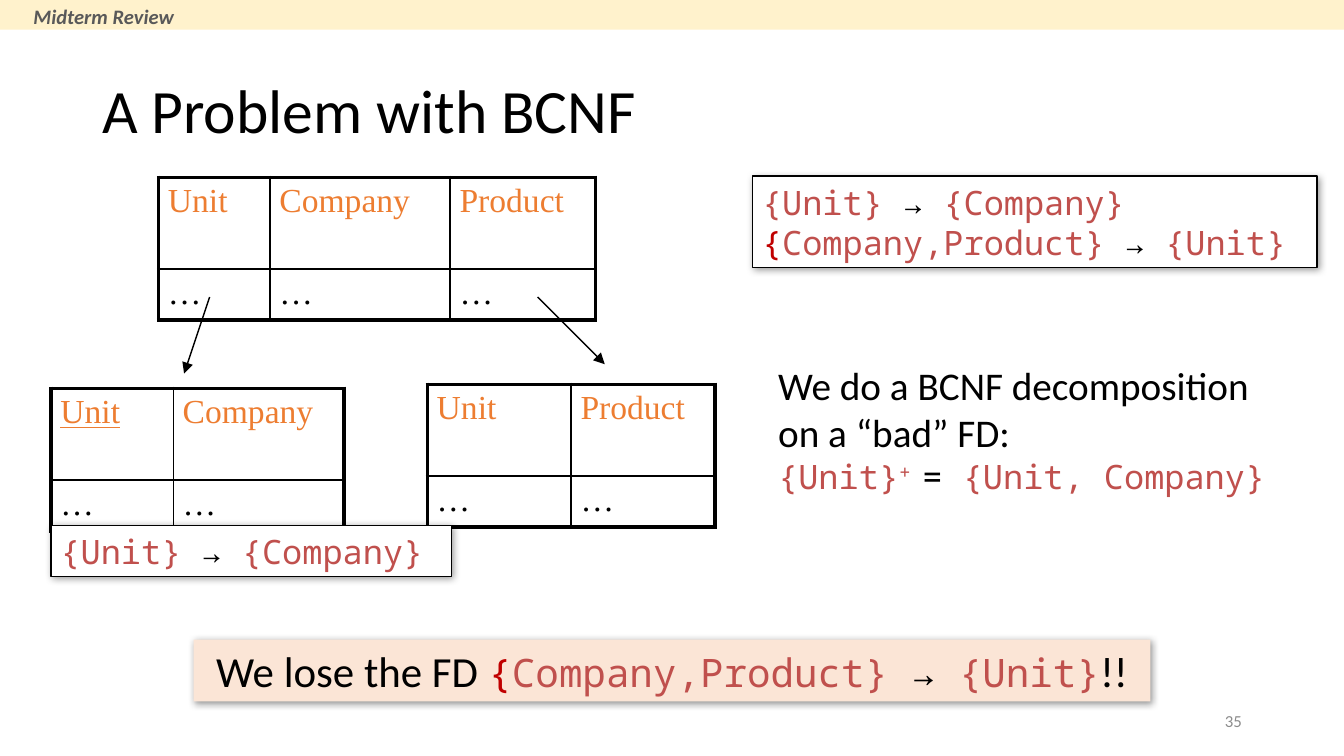
from lxml.etree import SubElement
from pptx import Presentation
from pptx.dml.color import RGBColor
from pptx.enum.shapes import MSO_CONNECTOR, MSO_SHAPE
from pptx.enum.text import MSO_ANCHOR, MSO_AUTO_SIZE, PP_ALIGN
from pptx.oxml import parse_xml
from pptx.oxml.ns import nsdecls, qn
from pptx.util import Inches, Pt

BLACK, WHITE, RED, DARK_RED, ORANGE = "000000", "FFFFFF", "C0504D", "C00000", "ED7D31"
SHADOW = (
    f'<a:effectLst {nsdecls("a")}><a:outerShdw blurRad="50800" dist="12700" dir="2700000">'
    '<a:srgbClr val="000000"><a:alpha val="40000"/></a:srgbClr></a:outerShdw></a:effectLst>'
)


def color(value):
    return RGBColor.from_string(value)


def write(para, text, font="Calibri", size=18, fill=BLACK, raised=0, **flags):
    if text == "\n":
        para.add_line_break()
        return
    span = para.add_run()
    span.text = text
    span.font.name, span.font.size = font, Pt(size)
    span.font.color.rgb = color(fill)
    for flag, value in flags.items():
        setattr(span.font, flag, value)
    if raised:
        span._r.get_or_add_rPr().set("baseline", str(raised * 1000))


def words(text, **style):
    return text, style


def code(text, fill=RED, **style):
    return words(text, font="Noto Sans Mono", fill=fill, **style)


class SlideBuilder:
    """Draws styled elements on a slide using a grid of 100 columns and 56.25 rows."""

    def __init__(self, deck):
        self.slide = deck.slides.add_slide(deck.slide_layouts[6])
        self.column = deck.slide_width / 100
        self.row = deck.slide_height / 56.25

    def place(self, *lengths):
        units = (self.column, self.row) * 2
        return [round(length * unit) for length, unit in zip(lengths, units)]

    def fill_text(self, box, paragraphs, align=PP_ALIGN.LEFT, anchor=MSO_ANCHOR.TOP,
                  wrap=True, grow=True, spacing=None, inset=(0.07, 0.04)):
        frame = box.text_frame
        frame.word_wrap, frame.vertical_anchor = wrap, anchor
        frame.auto_size = MSO_AUTO_SIZE.SHAPE_TO_FIT_TEXT if grow else MSO_AUTO_SIZE.NONE
        frame.margin_left = frame.margin_right = Inches(inset[0])
        frame.margin_top = frame.margin_bottom = Inches(inset[1])
        for index, spans in enumerate(paragraphs):
            para = frame.add_paragraph() if index else frame.paragraphs[0]
            para.alignment = align
            if spacing:
                para.line_spacing = spacing
            for text, style in spans:
                write(para, text, **style)

    def text(self, area, paragraphs, **layout):
        self.fill_text(self.slide.shapes.add_textbox(*self.place(*area)), paragraphs, **layout)

    def panel(self, area, fill, line=None):
        box = self.slide.shapes.add_shape(MSO_SHAPE.RECTANGLE, *self.place(*area))
        box.shadow.inherit = False
        box.fill.solid()
        box.fill.fore_color.rgb = color(fill)
        if line:
            box.line.color.rgb = color(line)
            box.line.width = Pt(0.75)
        else:
            box.line.fill.background()
        return box

    def callout(self, area, spans, fill=WHITE, line=BLACK, align=PP_ALIGN.LEFT):
        box = self.panel(area, fill, line)
        properties = box._element.spPr
        properties.replace(properties.find(qn("a:effectLst")), parse_xml(SHADOW))
        self.fill_text(box, [spans], align=align, wrap=False)

    def relation(self, left, top, widths, heights, names, key=None):
        area = self.place(left, top, sum(widths), sum(heights))
        table = self.slide.shapes.add_table(2, len(names), *area).table
        table.first_row = table.horz_banding = False
        for column, width in zip(table.columns, widths):
            column.width = round(width * self.column)
        for row, height in zip(table.rows, heights):
            row.height = round(height * self.row)
        for index, name in enumerate(names):
            for level, (text, fill) in enumerate([(name, ORANGE), ("…", BLACK)]):
                cell = table.cell(level, index)
                cell.margin_left = cell.margin_right = Inches(0.07)
                cell.margin_top = cell.margin_bottom = Inches(0.04)
                write(cell.text_frame.paragraphs[0], text, font="Times New Roman",
                      fill=fill, underline=text == key)
                outer = {"L": index == 0, "R": index == len(names) - 1,
                         "T": level == 0, "B": level == 1}
                self.borders(cell, outer)
                cell.fill.background()

    def borders(self, cell, outer):
        properties = cell._tc.get_or_add_tcPr()
        for side, thick in outer.items():
            width = Pt(2.25 if thick else 1)
            line = SubElement(properties, qn(f"a:ln{side}"), w=str(width))
            solid = SubElement(line, qn("a:solidFill"))
            SubElement(solid, qn("a:srgbClr"), val=BLACK)

    def arrow(self, *ends):
        line = self.slide.shapes.add_connector(MSO_CONNECTOR.STRAIGHT, *self.place(*ends))
        line.line.color.rgb = color(BLACK)
        line.line.width = Pt(0.75)
        SubElement(line.line._get_or_add_ln(), qn("a:tailEnd"), type="triangle")
        SubElement(line._element.spPr, qn("a:effectLst"))


def main():
    deck = Presentation()
    deck.slide_width, deck.slide_height = Inches(10), Inches(5.625)
    page = SlideBuilder(deck)
    arrow = code("→", BLACK)
    unit_to_company = [code("{Unit} "), arrow, code(" {Company}")]

    page.text((70.6, 52.1, 22.5, 3), [[words("35", size=9, fill="8C8C8C")]],
              align=PP_ALIGN.RIGHT, anchor=MSO_ANCHOR.MIDDLE, grow=False)
    page.text((6.9, 3, 86.2, 10.9), [[words("A Problem with BCNF", size=33)]],
              anchor=MSO_ANCHOR.MIDDLE, grow=False, spacing=0.9)
    page.callout((56, 13.1, 42, 6.8), unit_to_company + [
        words("\n"), code("{", DARK_RED), code("Company,Product} "), arrow, code(" {Unit}")])
    page.text((57.2, 26.5, 39.7, 10.9), [
        [words("We do a BCNF decomposition on a “bad” FD:", size=21)],
        [code("{Unit}"), code("+ ", raised=30), code("= ", BLACK), code("{Unit, Company}")]])
    page.callout((14.4, 47.6, 71.2, 4.6), [
        words("We lose the FD ", size=23), code("{", DARK_RED, size=21),
        code("Company,Product} ", size=21), code("→ ", BLACK, size=21),
        code("{Unit}", size=21), words("!!", size=23),
    ], fill="FBE5D6", line=None, align=PP_ALIGN.CENTER)

    heights = (6.8, 3.8)
    page.relation(11.8, 13.2, (8.3, 13.4, 10.8), heights, ("Unit", "Company", "Product"))
    page.relation(3.8, 28.9, (9.1, 12.7), heights, ("Unit", "Company"), key="Unit")
    page.relation(31.8, 28.6, (10.7, 10.7), heights, ("Unit", "Product"))
    page.arrow(15.6, 22.1, 13.7, 27.8)
    page.arrow(40, 22.1, 45, 27.1)
    page.callout((3.8, 39.1, 29.8, 3.8), unit_to_company)

    page.panel((0, 0, 100, 2.2), "FFF2CC")
    page.text((1.5, -0.2, 12.7, 2.9),
              [[words("Midterm Review", size=11, fill="595959", bold=True, italic=True)]],
              wrap=False, inset=(0.1, 0.05))
    deck.save("out.pptx")


if __name__ == "__main__":
    main()
